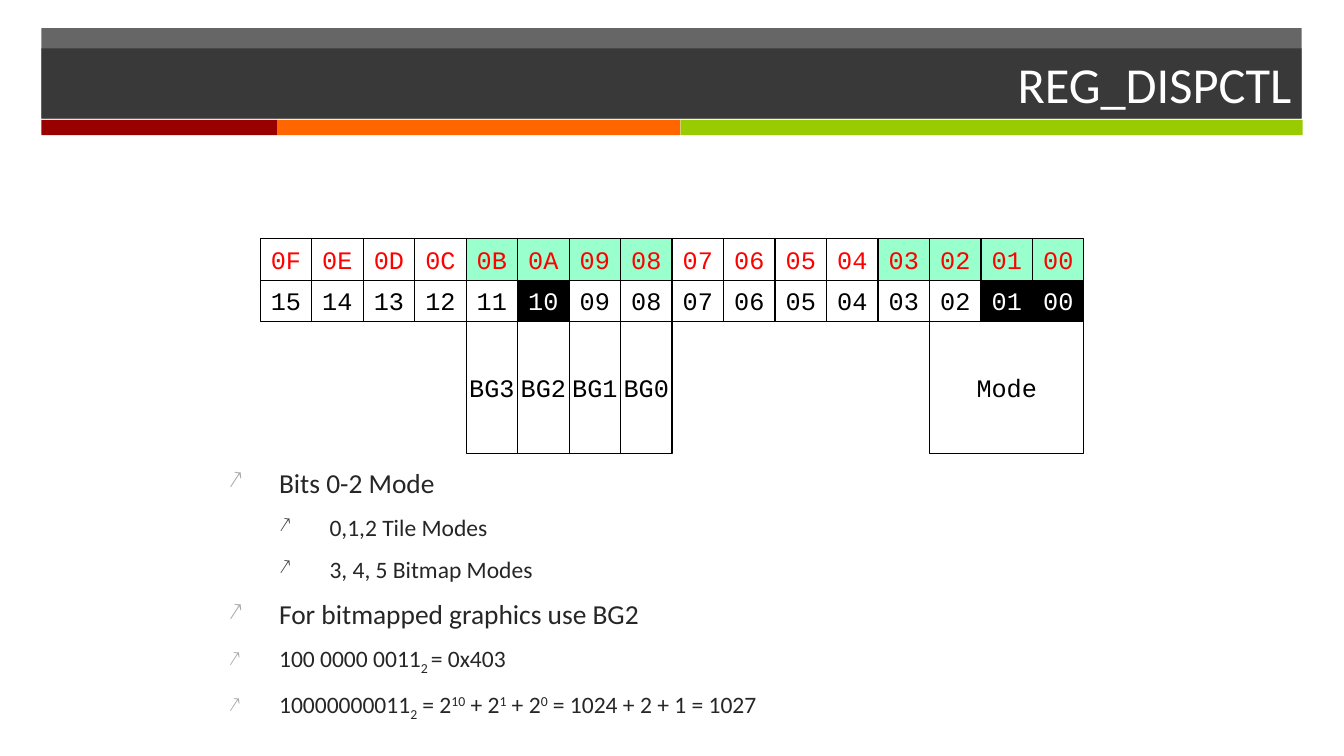
from dataclasses import dataclass

from lxml.etree import SubElement
from pptx import Presentation
from pptx.dml.color import RGBColor
from pptx.enum.shapes import MSO_SHAPE
from pptx.enum.text import MSO_ANCHOR, PP_ALIGN
from pptx.oxml.ns import qn
from pptx.shapes.autoshape import Shape
from pptx.slide import Slide
from pptx.text.text import TextFrame
from pptx.util import Inches, Pt


@dataclass(frozen=True)
class Theme:
    body_font: str = "Calibri"
    code_font: str = "Courier New"
    dark: str = "262626"
    white: str = "FFFFFF"
    black: str = "000000"
    red: str = "FF0000"
    mint: str = "99FFCC"
    bullets: tuple[str, str] = ("A6A6A6", "404040")
    title_size: float = 36
    large_size: float = 19.6
    small_size: float = 16.8
    code_size: float = 18


@dataclass(frozen=True)
class Box:
    left: float
    top: float
    width: float
    height: float


@dataclass(frozen=True)
class Stripe:
    left: float
    width: float
    color: str


@dataclass(frozen=True)
class Field:
    name: str
    high_bit: int
    bit_count: int = 1


@dataclass(frozen=True)
class Bullet:
    runs: tuple[tuple[str, int], ...]  # text and baseline shift in percent
    size: float
    level: int = 0


THEME = Theme()
STRIPES = (
    Stripe(0.41, 2.34, "990000"),
    Stripe(2.75, 4, "FF6600"),
    Stripe(6.75, 6.17, "99CC00"),
)

# Register grid
BIT_COUNT = 16
GRID_LEFT, GRID_TOP = 2.58, 2.37
BIT_WIDTH, BIT_HEIGHT, FIELD_HEIGHT = 0.5107, 0.41, 1.31
USED_BITS = {11, 10, 9, 8, 3, 2, 1, 0}
SET_BITS = {10, 1, 0}
FIELDS = (
    Field("BG3", 11),
    Field("BG2", 10),
    Field("BG1", 9),
    Field("BG0", 8),
    Field("Mode", 2, 3),
)

BULLETS = (
    Bullet((("Bits 0-2 Mode", 0),), THEME.large_size),
    Bullet((("0,1,2 Tile Modes", 0),), THEME.small_size, 1),
    Bullet((("3, 4, 5 Bitmap Modes", 0),), THEME.small_size, 1),
    Bullet((("For bitmapped graphics use BG2", 0),), THEME.large_size),
    Bullet((("100 0000 0011", 0), ("2 ", -25), ("= 0x403", 0)), THEME.small_size),
    Bullet(
        (("10000000011", 0), ("2", -25), (" = 2", 0), ("10", 30), (" + 2", 0),
         ("1", 30), (" + 2", 0), ("0", 30), (" = 1024 + 2 + 1 = 1027", 0)),
        THEME.small_size,
    ),
)


def add_rectangle(slide: Slide, box: Box, fill: str | None = None,
                  line: str | None = None, opacity: int = 100) -> Shape:
    shape = slide.shapes.add_shape(
        MSO_SHAPE.RECTANGLE, Inches(box.left), Inches(box.top),
        Inches(box.width), Inches(box.height))
    shape.shadow.inherit = False
    if fill:
        shape.fill.solid()
        shape.fill.fore_color.rgb = RGBColor.from_string(fill)
        if opacity < 100:
            color = shape.fill._xPr.find(".//" + qn("a:srgbClr"))
            SubElement(color, qn("a:alpha"), val=str(opacity * 1000))
    else:
        shape.fill.background()
    if line:
        shape.line.color.rgb = RGBColor.from_string(line)
        shape.line.width = Pt(0.75)
    else:
        shape.line.fill.background()
    return shape


def set_label(shape: Shape, text: str, font: str, size: float, color: str,
              alignment: PP_ALIGN) -> None:
    frame = shape.text_frame
    frame.text = text
    frame.word_wrap = False
    frame.vertical_anchor = MSO_ANCHOR.MIDDLE
    paragraph = frame.paragraphs[0]
    paragraph.alignment = alignment
    paragraph.font.name = font
    paragraph.font.size = Pt(size)
    paragraph.font.color.rgb = RGBColor.from_string(color)


def add_cell(slide: Slide, box: Box, text: str, color: str,
             fill: str | None = None) -> None:
    shape = add_rectangle(slide, box, fill, THEME.black)
    set_label(shape, text, THEME.code_font, THEME.code_size, color, PP_ALIGN.CENTER)


def bit_left(bit: int) -> float:
    return GRID_LEFT + (BIT_COUNT - 1 - bit) * BIT_WIDTH


def add_register(slide: Slide) -> None:
    decimal_top = GRID_TOP + BIT_HEIGHT
    for bit in reversed(range(BIT_COUNT)):
        left, is_set = bit_left(bit), bit in SET_BITS
        add_cell(slide, Box(left, GRID_TOP, BIT_WIDTH, BIT_HEIGHT), f"{bit:02X}",
                 THEME.red, THEME.mint if bit in USED_BITS else None)
        add_cell(slide, Box(left, decimal_top, BIT_WIDTH, BIT_HEIGHT), f"{bit:02d}",
                 THEME.white if is_set else THEME.black,
                 THEME.black if is_set else None)
    for field in FIELDS:
        box = Box(bit_left(field.high_bit), decimal_top + BIT_HEIGHT,
                  field.bit_count * BIT_WIDTH, FIELD_HEIGHT)
        add_cell(slide, box, field.name, THEME.black)


def add_bullet(frame: TextFrame, bullet: Bullet, is_first: bool) -> None:
    paragraph = frame.paragraphs[0] if is_first else frame.add_paragraph()
    paragraph.level = bullet.level
    paragraph.space_before = Pt(10)
    paragraph.font.name = THEME.body_font
    paragraph.font.size = Pt(bullet.size)
    paragraph.font.color.rgb = RGBColor.from_string(THEME.dark)
    for text, baseline in bullet.runs:
        run = paragraph.add_run()
        run.text = text
        if baseline:
            run._r.get_or_add_rPr().set("baseline", str(baseline * 1000))

    # Hanging arrow bullet, placed ahead of the default run properties
    properties = paragraph._p.get_or_add_pPr()
    properties.set("marL", str(Inches(0.5 * (bullet.level + 1))))
    properties.set("indent", str(Inches(-0.5)))
    color = SubElement(properties, qn("a:buClr"))
    SubElement(color, qn("a:srgbClr"), val=THEME.bullets[bullet.level])
    SubElement(properties, qn("a:buSzPct"), val="90000")
    SubElement(properties, qn("a:buChar"), char="↗")
    properties.append(properties.find(qn("a:defRPr")))


def main() -> None:
    presentation = Presentation()
    presentation.slide_width, presentation.slide_height = Inches(13.33), Inches(7.5)
    slide = presentation.slides.add_slide(presentation.slide_layouts[6])

    # Header band, stripes and title
    add_rectangle(slide, Box(0.41, 0.28, 12.5, 0.89), THEME.dark, opacity=70)
    for stripe in STRIPES:
        add_rectangle(slide, Box(stripe.left, 1.19, stripe.width, 0.15), stripe.color)
    title = add_rectangle(slide, Box(0.41, 0.48, 12.5, 0.7), THEME.dark, opacity=70)
    set_label(title, "REG_DISPCTL", THEME.body_font, THEME.title_size, THEME.white,
              PP_ALIGN.RIGHT)

    # Explanation
    body = slide.shapes.add_textbox(Inches(2.17), Inches(4.57), Inches(9), Inches(2.9))
    body.text_frame.word_wrap = True
    for index, bullet in enumerate(BULLETS):
        add_bullet(body.text_frame, bullet, index == 0)

    add_register(slide)
    presentation.save("out.pptx")


if __name__ == "__main__":
    main()
